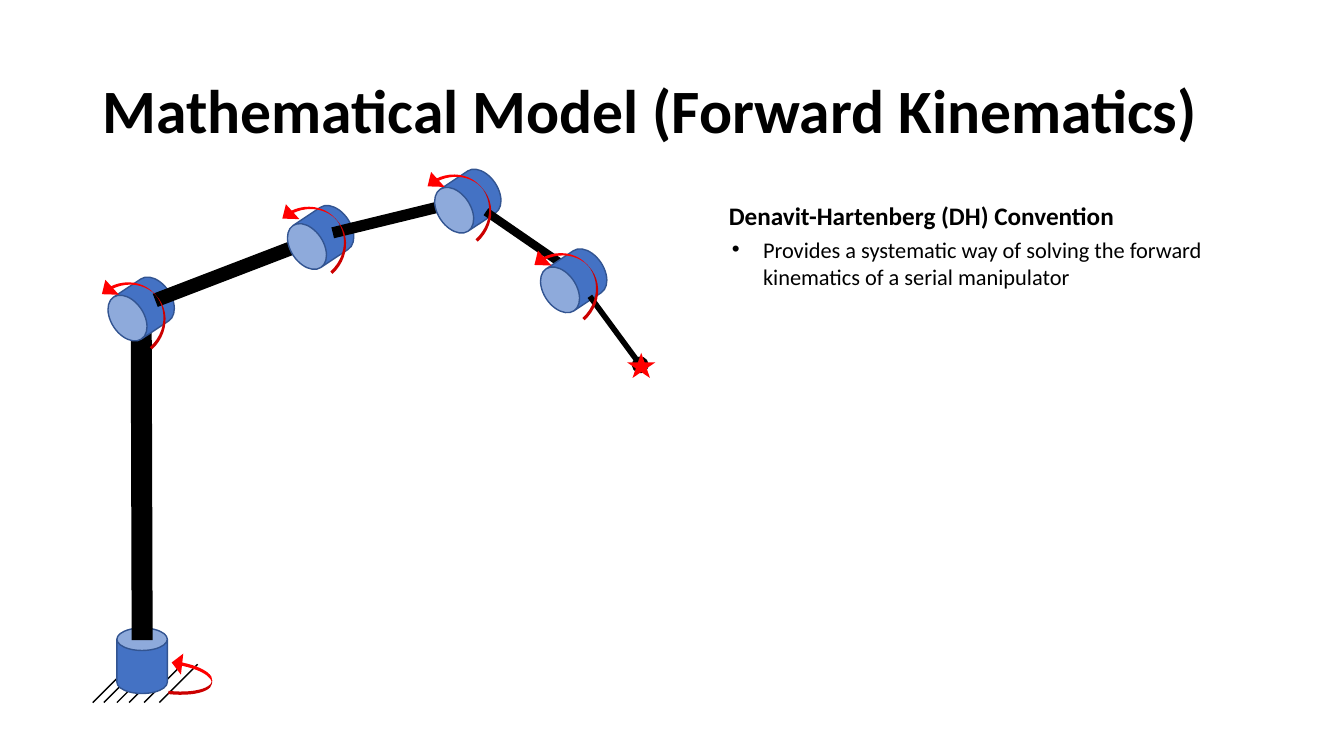
from lxml import etree
from pptx import Presentation
from pptx.dml.color import RGBColor
from pptx.enum.shapes import MSO_CONNECTOR, MSO_SHAPE
from pptx.enum.text import MSO_ANCHOR, MSO_AUTO_SIZE, PP_ALIGN
from pptx.oxml.ns import qn
from pptx.util import Inches, Pt

STRAIGHT = MSO_CONNECTOR.STRAIGHT
CAN, STAR, TURN = MSO_SHAPE.CAN, MSO_SHAPE.STAR_5_POINT, MSO_SHAPE.CURVED_UP_ARROW
MIDDLE, LEFT = MSO_ANCHOR.MIDDLE, PP_ALIGN.LEFT
GROW, FIXED = MSO_AUTO_SIZE.SHAPE_TO_FIT_TEXT, MSO_AUTO_SIZE.NONE

BLACK = RGBColor(0x00, 0x00, 0x00)
RED = RGBColor(0xFF, 0x00, 0x00)
BLUE = RGBColor(0x44, 0x72, 0xC4)
NAVY = RGBColor(0x32, 0x54, 0x91)
FONT = "Calibri"

HATCH = (0.92, 1.03, 1.16, 1.28, 1.43, 1.58)
LINKS = (
    ((1.41, 6.35), (1.4, 3.06), 15),
    ((1.54, 2.98), (3.18, 2.35), 10),
    ((3.3, 2.31), (4.57, 2), 8),
    ((4.82, 2.1), (5.56, 2.61), 6),
)
JOINTS = ((1.15, 2.74), (2.93, 2.03), (4.39, 1.67), (5.44, 2.46))
TURNS = ((0.95, 2.83), (2.74, 2.08), (4.18, 1.76), (5.24, 2.54))


def add_run(para, text, size, bold=False):
    """Add one black run to a paragraph."""
    run = para.add_run()
    run.text = text
    run.font.name = FONT
    run.font.size = Pt(size)
    run.font.bold = bold
    run.font.color.rgb = BLACK


def add_title(slide, text):
    """Place and fill the title."""
    title = slide.shapes.title
    title.left, title.top = Inches(0.92), Inches(0.4)
    title.width, title.height = Inches(11.5), Inches(1.45)
    frame = title.text_frame
    frame.auto_size = FIXED
    frame.vertical_anchor = MIDDLE
    para = frame.paragraphs[0]
    para.alignment = LEFT
    para.line_spacing = 0.9
    add_run(para, text, 44, True)


def add_text(slide, box, text, size, bold=False, bullet=False):
    """Add a text box with one paragraph."""
    frame = slide.shapes.add_textbox(*map(Inches, box)).text_frame
    frame.word_wrap = True
    frame.auto_size = GROW
    para = frame.paragraphs[0]
    if bullet:
        props = para._p.get_or_add_pPr()
        props.set("marL", str(Inches(0.31)))
        props.set("indent", str(Inches(-0.31)))
        etree.SubElement(props, qn("a:buFont")).set("typeface", "Arial")
        etree.SubElement(props, qn("a:buChar")).set("char", "•")
    add_run(para, text, size, bold)


def add_line(slide, start, end, width, dot=False):
    """Add a black line, with a round end if asked."""
    ends = map(Inches, (*start, *end))
    link = slide.shapes.add_connector(STRAIGHT, *ends)
    link.line.color.rgb = BLACK
    link.line.width = Pt(width)
    if dot:
        etree.SubElement(link.line._ln, qn("a:tailEnd")).set("type", "oval")
    etree.SubElement(link._element.spPr, qn("a:effectLst"))


def add_solid(slide, kind, box, fill, edge=None, turn=0, adjust=()):
    """Add a filled preset shape."""
    shape = slide.shapes.add_shape(kind, *map(Inches, box))
    shape.shadow.inherit = False
    shape.rotation = turn
    for index, value in enumerate(adjust):
        shape.adjustments[index] = value
    shape.fill.solid()
    shape.fill.fore_color.rgb = fill
    if edge is None:
        shape.line.fill.background()
    else:
        shape.line.color.rgb = edge
        shape.line.width = Pt(1)


def add_base(slide):
    """Draw the hatched ground and the base joint."""
    for left in HATCH:
        add_line(slide, (left, 6.97), (left + 0.38, 6.59), 1)
    add_solid(slide, CAN, (1.16, 6.23, 0.5, 0.65), BLUE, NAVY, adjust=(0.447,))


def add_arm(slide):
    """Draw the links, joints, tip and turning arrows."""
    for (start, end, width), spot in zip(LINKS, JOINTS):
        add_line(slide, start, end, width)
        add_solid(slide, CAN, (*spot, 0.5, 0.65), BLUE, NAVY, 236.4, (0.65,))
    add_line(slide, (5.85, 2.94), (6.35, 3.62), 4, dot=True)
    add_solid(slide, STAR, (6.22, 3.5, 0.28, 0.25), RED)
    add_solid(slide, TURN, (1.69, 6.49, 0.42, 0.42), RED, turn=276.3,
              adjust=(0.077, 0.522, 0.25))
    for spot in TURNS:
        add_solid(slide, TURN, (*spot, 0.84, 0.39), RED, turn=227.8,
                  adjust=(0.079, 0.511, 0.312))


def main():
    """Build and save the slide."""
    deck = Presentation()
    deck.slide_width, deck.slide_height = Inches(13.33), Inches(7.5)
    slide = deck.slides.add_slide(deck.slide_layouts[5])
    add_title(slide, "Mathematical Model (Forward Kinematics)")
    add_base(slide)
    add_arm(slide)
    add_text(slide, (7.13, 1.94, 4.66, 0.4),
             "Denavit-Hartenberg (DH) Convention", 18, bold=True)
    add_text(slide, (7.16, 2.29, 5.68, 0.64),
             "Provides a systematic way of solving the forward "
             "kinematics of a serial manipulator", 16, bullet=True)
    deck.save("out.pptx")


if __name__ == "__main__":
    main()
